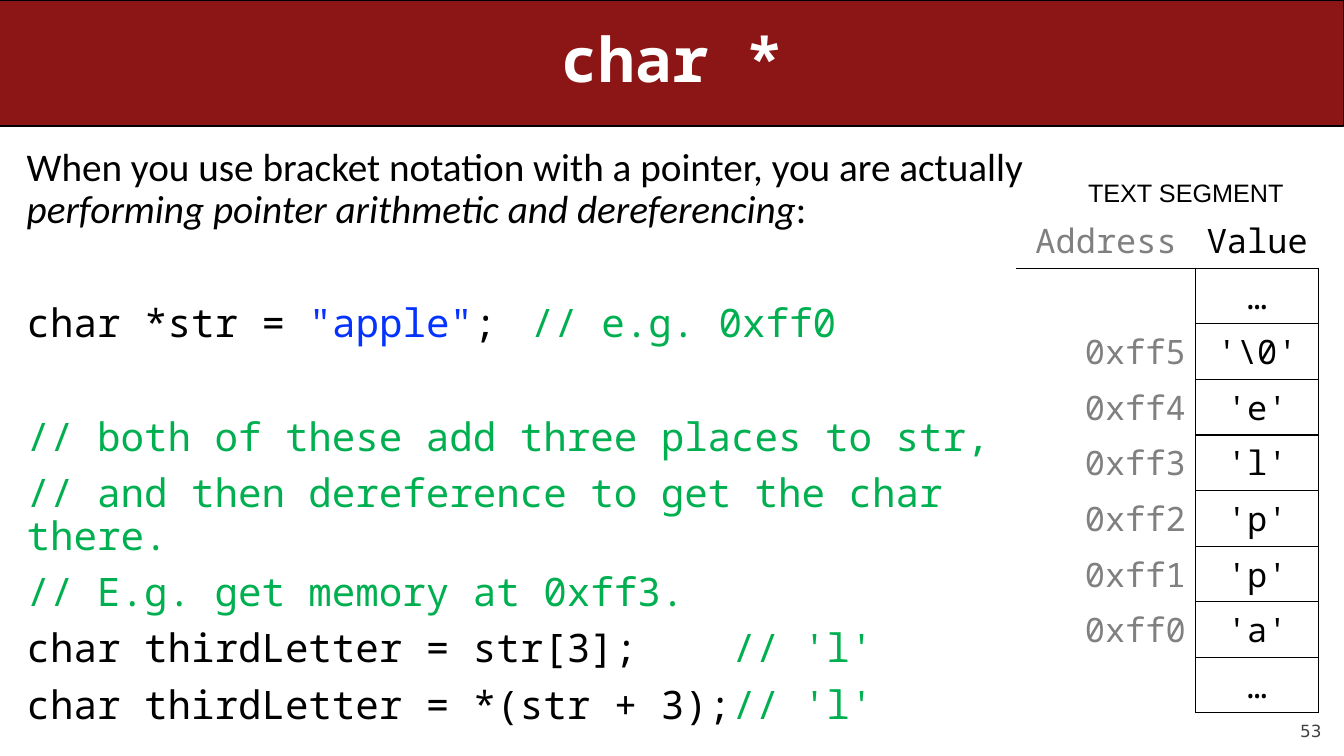
from dataclasses import dataclass

from lxml.etree import SubElement
from pptx import Presentation
from pptx.dml.color import RGBColor
from pptx.enum.shapes import MSO_SHAPE
from pptx.enum.text import MSO_ANCHOR, MSO_AUTO_SIZE, PP_ALIGN
from pptx.oxml.ns import qn
from pptx.util import Inches, Pt


@dataclass(frozen=True)
class Theme:
    cardinal: str = "8C1515"
    white: str = "FFFFFF"
    ink: str = "000000"
    address: str = "808080"
    comment: str = "00B050"
    literal: str = "0432FF"
    page: str = "424242"
    prose: str = "Calibri"
    code: str = "Noto Sans Mono"
    label: str = "Arial"
    footer: str = "DejaVu Sans"
    title_size: int = 44
    body_size: int = 28
    cell_size: int = 24
    label_size: int = 18
    page_size: int = 12


THEME = Theme()
COLUMNS, ROWS = 160, 90  # layout grid
WIDTH, HEIGHT = Inches(13.33), Inches(7.5)
SPACING, SECTION_GAP = 10, 51  # points before a line, before a new section

# Memory cells from the highest address down
MEMORY = [
    ("", "…"), ("0xff5", r"'\0'"), ("0xff4", "'e'"), ("0xff3", "'l'"),
    ("0xff2", "'p'"), ("0xff1", "'p'"), ("0xff0", "'a'"), ("", "…"),
]


def across(columns):
    return round(WIDTH * columns / COLUMNS)


def down(rows):
    return round(HEIGHT * rows / ROWS)


def place(left, top, width, height):
    return across(left), down(top), across(width), down(height)


def apply(target, values):
    for name, value in values.items():
        setattr(target, name, value)


def add_run(paragraph, text, font, size, color, **style):
    run = paragraph.add_run()
    run.text = text
    apply(run.font, {"name": font, "size": Pt(size), **style})
    run.font.color.rgb = RGBColor.from_string(color)


def add_text(slide, area, **frame_format):
    frame = slide.shapes.add_textbox(*place(*area)).text_frame
    apply(frame, {"word_wrap": True, **frame_format})
    return frame


def add_line(paragraph, runs, before=SPACING):
    """Each run is (text, color), (text, color, font) or (text, color, font, italic)."""
    apply(paragraph, {"line_spacing": 0.9, "space_before": Pt(before)})
    for text, color, *extra in runs:
        font = extra[0] if extra else THEME.code
        add_run(paragraph, text, font, THEME.body_size, color, italic=len(extra) > 1)


def add_title(slide, text):
    area = (0, 0, COLUMNS, 15)
    bar = slide.shapes.add_shape(MSO_SHAPE.ROUNDED_RECTANGLE, *place(*area))
    bar.adjustments[0] = 0
    bar.shadow.inherit = False
    bar.fill.solid()
    bar.fill.fore_color.rgb = RGBColor.from_string(THEME.cardinal)
    bar.line.color.rgb = RGBColor.from_string(THEME.ink)
    bar.line.width = Pt(0.75)

    heading = add_text(slide, area, vertical_anchor=MSO_ANCHOR.MIDDLE).paragraphs[0]
    apply(heading, {"alignment": PP_ALIGN.CENTER, "line_spacing": 0.9})
    add_run(heading, text, THEME.code, THEME.title_size, THEME.white, bold=True)


def add_explanation(slide):
    ink, comment = THEME.ink, THEME.comment
    lines = [
        ([("When you use bracket notation with a pointer, you are actually ", ink, THEME.prose),
          ("performing pointer arithmetic and dereferencing", ink, THEME.prose, True),
          (":", ink, THEME.prose)], SPACING),
        ([("char *str = ", ink), ('"apple"', THEME.literal), (";\t", ink),
          ("// e.g. 0xff0", comment)], SECTION_GAP),
        ([("// both of these add three places to str,", comment)], SECTION_GAP),
        ([("// and then dereference to get the char there.", comment)], SPACING),
        ([("// E.g. get memory at 0xff3.", comment)], SPACING),
        ([("char thirdLetter = str[3];\t\t", ink), ("// 'l'", comment)], SPACING),
        ([("char thirdLetter = *(str + 3);\t", ink), ("// 'l'", comment)], SPACING),
    ]
    frame = add_text(slide, (2, 17, 121, 68))
    for index, (runs, before) in enumerate(lines):
        paragraph = frame.add_paragraph() if index else frame.paragraphs[0]
        add_line(paragraph, runs, before)


def set_borders(cell, sides):
    properties = cell._tc.get_or_add_tcPr()
    for side in "LRTB":
        border = SubElement(properties, qn(f"a:ln{side}"), w=str(Pt(1)))
        if side in sides:
            fill = SubElement(border, qn("a:solidFill"))
            SubElement(fill, qn("a:srgbClr"), val=THEME.ink)
        else:
            SubElement(border, qn("a:noFill"))


def fill_cell(cell, text, color, alignment, anchor, sides):
    set_borders(cell, sides)
    cell.fill.background()
    cell.vertical_anchor = anchor
    paragraph = cell.text_frame.paragraphs[0]
    paragraph.alignment = alignment
    if text:
        add_run(paragraph, text, THEME.code, THEME.cell_size, color)


def add_memory(slide):
    entries = [("Address", "Value"), *MEMORY]
    area = place(121, 25.3, 36, 59.6)
    table = slide.shapes.add_table(len(entries), 2, *area).table
    apply(table, {"first_row": False, "horz_banding": False})
    for column, width in zip(table.columns, (21.35, 14.65)):
        column.width = across(width)

    middle = PP_ALIGN.CENTER, MSO_ANCHOR.MIDDLE
    lower_right = PP_ALIGN.RIGHT, MSO_ANCHOR.BOTTOM
    for row, (address, value) in enumerate(entries):
        header = row == 0
        address_sides = "B" if header else "RT" if row == 1 else "R"
        fill_cell(table.cell(row, 0), address, THEME.address,
                  *(middle if header else lower_right), address_sides)
        fill_cell(table.cell(row, 1), value, THEME.ink, *middle,
                  "B" if header else "LRTB")


def add_caption(slide, text):
    frame = add_text(slide, (128, 20.5, 26, 4.8), word_wrap=False,
                     auto_size=MSO_AUTO_SIZE.SHAPE_TO_FIT_TEXT)
    frame.paragraphs[0].alignment = PP_ALIGN.RIGHT
    add_run(frame.paragraphs[0], text, THEME.label, THEME.label_size, THEME.ink)


def add_page_number(slide, number):
    margins = {f"margin_{side}": 0 for side in ("left", "top", "right", "bottom")}
    frame = add_text(slide, (144, 83.4, 13.33, 4.8),
                     vertical_anchor=MSO_ANCHOR.BOTTOM, **margins)
    frame.paragraphs[0].alignment = PP_ALIGN.RIGHT
    add_run(frame.paragraphs[0], number, THEME.footer, THEME.page_size, THEME.page)


def main():
    deck = Presentation()
    apply(deck, {"slide_width": WIDTH, "slide_height": HEIGHT})
    slide = deck.slides.add_slide(deck.slide_layouts[6])
    add_page_number(slide, "53")
    add_title(slide, "char *")
    add_explanation(slide)
    add_memory(slide)
    add_caption(slide, "TEXT SEGMENT")
    deck.save("out.pptx")


if __name__ == "__main__":
    main()
